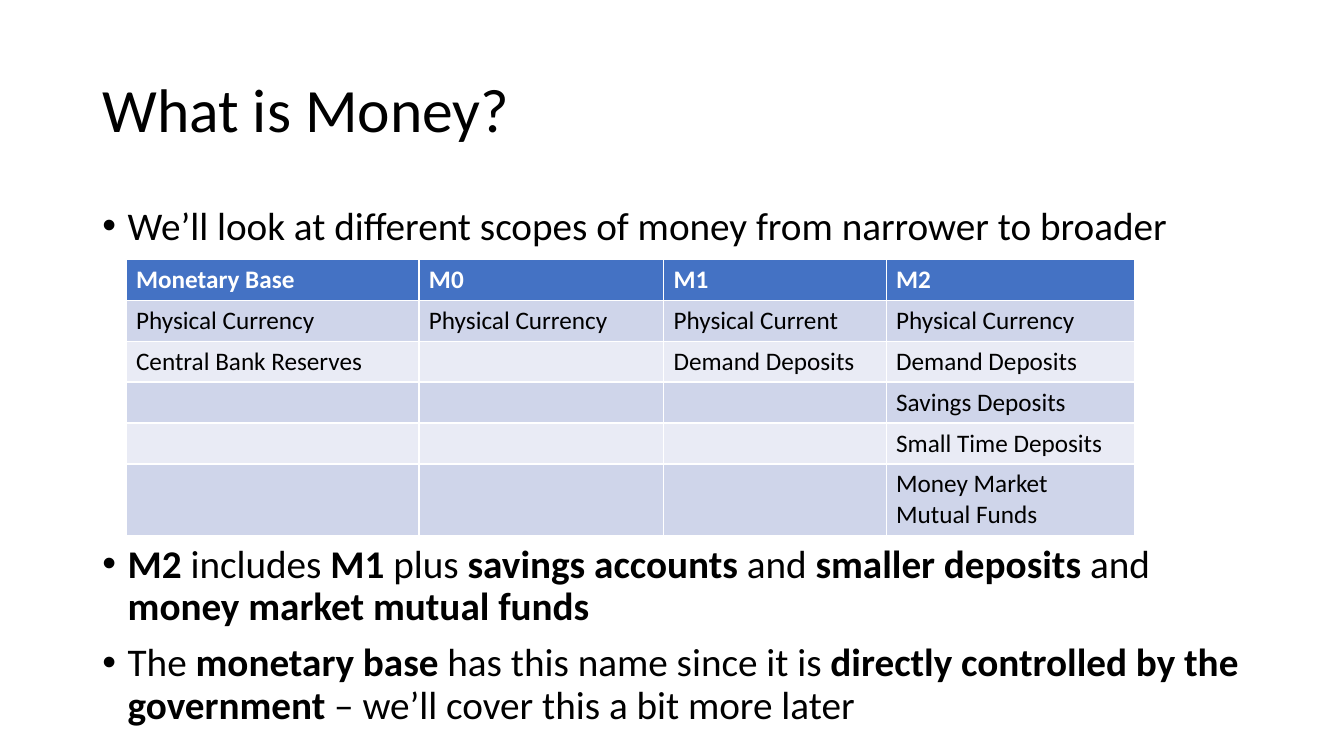
from lxml import etree
from pptx import Presentation
from pptx.dml.color import RGBColor
from pptx.enum.text import MSO_ANCHOR, MSO_AUTO_SIZE, PP_ALIGN
from pptx.oxml.ns import qn
from pptx.util import Pt

PX = 9525  # EMU per px, 96 px to the inch
FONT = "Calibri"
BLACK = RGBColor(0x00, 0x00, 0x00)
WHITE = RGBColor(0xFF, 0xFF, 0xFF)
HEADER_BLUE = RGBColor(0x44, 0x72, 0xC4)
BANDS = (RGBColor(0xCF, 0xD5, 0xEA), RGBColor(0xE9, 0xEB, 0xF5))

TITLE_BOX = (88, 38, 1104, 139)
BODY_BOX = (88, 192, 1104, 528)
TABLE_BOX = (120, 247, 961, 262)
COLUMN_WIDTHS = (279, 233, 212, 237)
ROW_HEIGHT = 39
BULLET_INDENT = 24

# Each bullet: space before in points, text with *bold* spans
BULLETS = [
    (0, "We’ll look at different scopes of money from narrower to broader"),
    (211, "*M2* includes *M1* plus *savings accounts *and *smaller deposits *and "
          "*money market mutual funds*"),
    (10, "The *monetary base *has this name since it is "
         "*directly controlled by the government* – we’ll cover this a bit more later"),
]
MONEY_SCOPES = {
    "Monetary Base": ["Physical Currency", "Central Bank Reserves"],
    "M0": ["Physical Currency"],
    "M1": ["Physical Current", "Demand Deposits"],
    "M2": ["Physical Currency", "Demand Deposits", "Savings Deposits",
           "Small Time Deposits", "Money Market Mutual Funds"],
}


def px(*lengths):
    return [length * PX for length in lengths]


def write(paragraph, text, size, color=BLACK, bold=False, line_spacing=None, before=0):
    """Fill a paragraph; spans between asterisks are bold."""
    paragraph.alignment = PP_ALIGN.LEFT
    paragraph.space_before = Pt(before)
    paragraph.line_spacing = line_spacing
    for index, span in enumerate(text.split("*")):
        if span:
            run = paragraph.add_run()
            run.text = span
            run.font.name = FONT
            run.font.size = Pt(size)
            run.font.bold = bold or index % 2 == 1
            run.font.color.rgb = color


def add_bullet(paragraph):
    properties = paragraph._p.get_or_add_pPr()
    properties.set("marL", str(BULLET_INDENT * PX))
    properties.set("indent", str(-BULLET_INDENT * PX))
    etree.SubElement(properties, qn("a:buFont")).set("typeface", "Arial")
    etree.SubElement(properties, qn("a:buChar")).set("char", "•")


def place(placeholder, box, anchor):
    placeholder.left, placeholder.top, placeholder.width, placeholder.height = px(*box)
    frame = placeholder.text_frame
    frame.word_wrap = True
    frame.auto_size = MSO_AUTO_SIZE.NONE
    frame.vertical_anchor = anchor
    return frame


def build_title(slide, box):
    heading = place(slide.shapes.title, box, MSO_ANCHOR.MIDDLE)
    write(heading.paragraphs[0], "What is Money?", 44, line_spacing=0.9)


def build_body(slide, box):
    body = place(slide.placeholders[1], box, MSO_ANCHOR.TOP)
    for index, (before, text) in enumerate(BULLETS):
        paragraph = body.add_paragraph() if index else body.paragraphs[0]
        add_bullet(paragraph)
        write(paragraph, text, 28, line_spacing=0.9, before=before)


def build_scopes_table(slide, box):
    row_count = 1 + max(len(parts) for parts in MONEY_SCOPES.values())
    holder = slide.shapes.add_table(row_count, len(MONEY_SCOPES), *px(*box))
    scopes = holder.table
    for row in scopes.rows:
        row.height = ROW_HEIGHT * PX
    holder.height = box[3] * PX
    for column, (scope, parts) in enumerate(MONEY_SCOPES.items()):
        scopes.columns[column].width = COLUMN_WIDTHS[column] * PX
        entries = [scope] + parts + [""] * (row_count - 1 - len(parts))
        for row, entry in enumerate(entries):
            is_header = row == 0
            cell = scopes.cell(row, column)
            cell.fill.solid()
            cell.fill.fore_color.rgb = HEADER_BLUE if is_header else BANDS[(row - 1) % 2]
            write(cell.text_frame.paragraphs[0], entry, 18,
                  color=WHITE if is_header else BLACK, bold=is_header)


def main():
    presentation = Presentation()
    presentation.slide_width, presentation.slide_height = px(1280, 720)
    slide = presentation.slides.add_slide(presentation.slide_layouts[1])
    build_title(slide, TITLE_BOX)
    build_body(slide, BODY_BOX)
    build_scopes_table(slide, TABLE_BOX)
    presentation.save("out.pptx")


if __name__ == "__main__":
    main()
